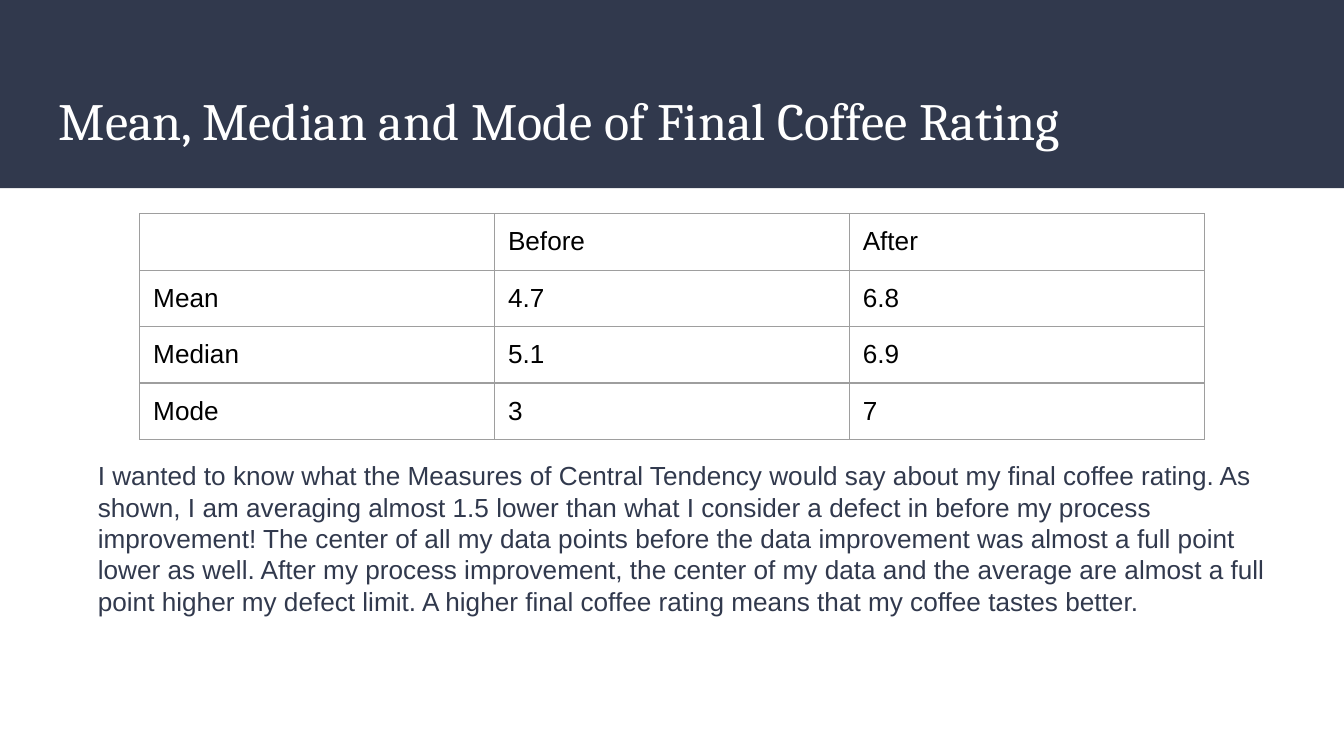
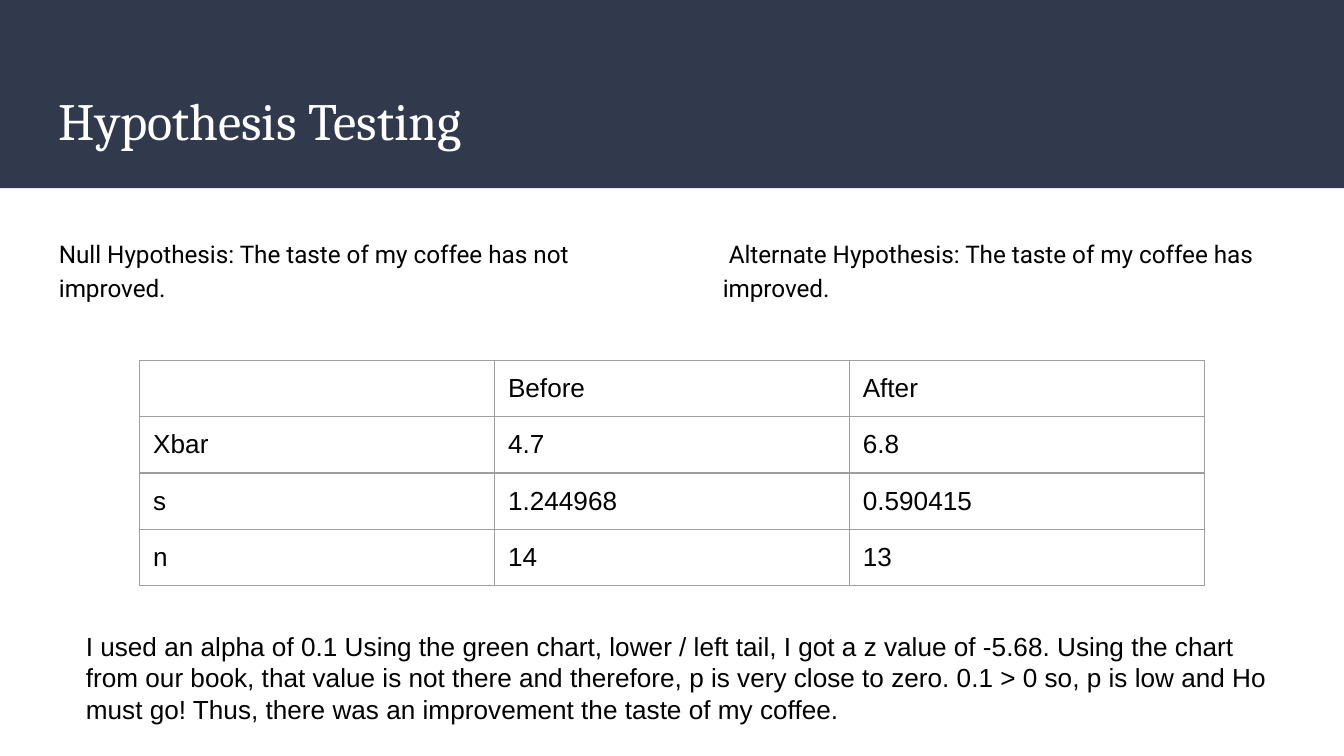
from lxml import etree
from pptx import Presentation
from pptx import util as u
from pptx.dml.color import RGBColor
from pptx.enum import shapes, text
from pptx.oxml import ns

NAVY, WHITE, BLACK, GREY = "31394D", "FFFFFF", "000000", "9E9E9E"
MARGIN = 0.34
TABLE_LEFT, COLUMN_WIDTH, ROW_HEIGHT = 1.04, 2.64, 0.42
HYPOTHESIS_TOP, HYPOTHESIS_WIDTH, HYPOTHESIS_HEIGHT = 1.65, 4.37, 3.36


def color(value):
    """Turn a hex string into a colour."""
    return RGBColor.from_string(value)


class Deck:
    """Hold the shared style and the current slide."""

    def __init__(self):
        """Start an empty widescreen presentation."""
        self.presentation = Presentation()
        self.presentation.slide_width = u.Inches(10)
        self.presentation.slide_height = u.Inches(10) * 9 // 16
        self.slide = None

    def add_slide(self, title):
        """Add a slide with the title band."""
        self.slide = self.presentation.slides.add_slide(self.presentation.slide_layouts[6])
        background = self.slide.background.fill
        background.solid()
        background.fore_color.rgb = color(WHITE)
        self.band(0, 0, 10, 1.4)
        self.textbox(title, MARGIN, 0.55, 9.32, 0.68, size=28, font="Cambria",
                     fill=WHITE, anchor=text.MSO_ANCHOR.MIDDLE)

    def band(self, left, top, width, height):
        """Add a navy rectangle without outline."""
        shape = self.slide.shapes.add_shape(
            shapes.MSO_SHAPE.RECTANGLE,
            u.Inches(left), u.Inches(top), u.Inches(width), u.Inches(height))
        shape.shadow.inherit = False
        shape.fill.solid()
        shape.fill.fore_color.rgb = color(NAVY)
        shape.line.fill.background()

    def style(self, paragraph, size, font, fill):
        """Set the font of a paragraph."""
        paragraph.font.size = u.Pt(size)
        paragraph.font.name = font
        paragraph.font.color.rgb = color(fill)

    def inset(self, holder, bottom=0.1):
        """Set the margins of a text frame or cell."""
        holder.margin_left = holder.margin_top = holder.margin_right = u.Inches(0.1)
        holder.margin_bottom = u.Inches(bottom)

    def textbox(self, words, left, top, width, height, size=14, font="Arial",
                fill=BLACK, anchor=text.MSO_ANCHOR.TOP, spacing=None):
        """Add a wrapped text box."""
        shape = self.slide.shapes.add_textbox(
            u.Inches(left), u.Inches(top), u.Inches(width), u.Inches(height))
        frame = shape.text_frame
        frame.word_wrap = True
        frame.vertical_anchor = anchor
        self.inset(frame)
        paragraph = frame.paragraphs[0]
        paragraph.text = words
        paragraph.line_spacing = spacing
        self.style(paragraph, size, font, fill)

    def hypothesis(self, words, left):
        """Add one of the two hypothesis columns."""
        self.textbox(words, left, HYPOTHESIS_TOP, HYPOTHESIS_WIDTH, HYPOTHESIS_HEIGHT,
                     size=13, font="Roboto", spacing=1.15)

    def border(self, cell):
        """Draw thin grey lines around a cell."""
        properties = cell._tc.get_or_add_tcPr()
        for position, side in enumerate(("lnL", "lnR", "lnT", "lnB")):
            line = etree.Element(ns.qn(f"a:{side}"), w=str(u.Pt(0.75)))
            fill = etree.SubElement(line, ns.qn("a:solidFill"))
            etree.SubElement(fill, ns.qn("a:srgbClr"), val=GREY)
            properties.insert(position, line)

    def table(self, top, rows):
        """Add a before and after table with an empty corner."""
        rows = [("", "Before", "After"), *rows]
        columns = len(rows[0])
        table = self.slide.shapes.add_table(
            len(rows), columns, u.Inches(TABLE_LEFT), u.Inches(top),
            u.Inches(COLUMN_WIDTH * columns), u.Inches(ROW_HEIGHT * len(rows))).table
        table.first_row = table.horz_banding = False
        for row, values in enumerate(rows):
            for column, value in enumerate(values):
                cell = table.cell(row, column)
                cell.fill.background()
                self.border(cell)
                paragraph = cell.text_frame.paragraphs[0]
                self.style(paragraph, 14, "Arial", BLACK)
                if value:
                    paragraph.text = value
                    self.inset(cell, bottom=0.08)


def main():
    """Build and save both slides."""
    deck = Deck()

    deck.add_slide("Mean, Median and Mode of Final Coffee Rating")
    deck.table(1.59, [("Mean", "4.7", "6.8"), ("Median", "5.1", "6.9"), ("Mode", "3", "7")])
    deck.textbox(
        "I wanted to know what the Measures of Central Tendency would say about my final "
        "coffee rating. As shown, I am averaging almost 1.5 lower than what I consider a "
        "defect in before my process improvement! The center of all my data points before "
        "the data improvement was almost a full point lower as well. After my process "
        "improvement, the center of my data and the average are almost a full point higher "
        "my defect limit. A higher final coffee rating means that my coffee tastes better.",
        0.63, 3.32, 9.03, 1.61, fill=NAVY)

    deck.add_slide("Hypothesis Testing")
    deck.hypothesis("Null Hypothesis: The taste of my coffee has not improved.", MARGIN)
    deck.table(2.68, [("Xbar", "4.7", "6.8"), ("s", "1.244968", "0.590415"), ("n", "14", "13")])
    deck.textbox(
        "I used an alpha of 0.1 Using the green chart, lower / left tail, I got a z value of "
        "-5.68. Using the chart from our book, that value is not there and therefore, p is "
        "very close to zero. 0.1 > 0 so, p is low and Ho must go! Thus, there was an "
        "improvement the taste of my coffee.",
        0.54, 4.59, 9.12, 0.54)
    deck.hypothesis(" Alternate Hypothesis: The taste of my coffee has improved.", 5.28)

    deck.presentation.save("out.pptx")


if __name__ == "__main__":
    main()
